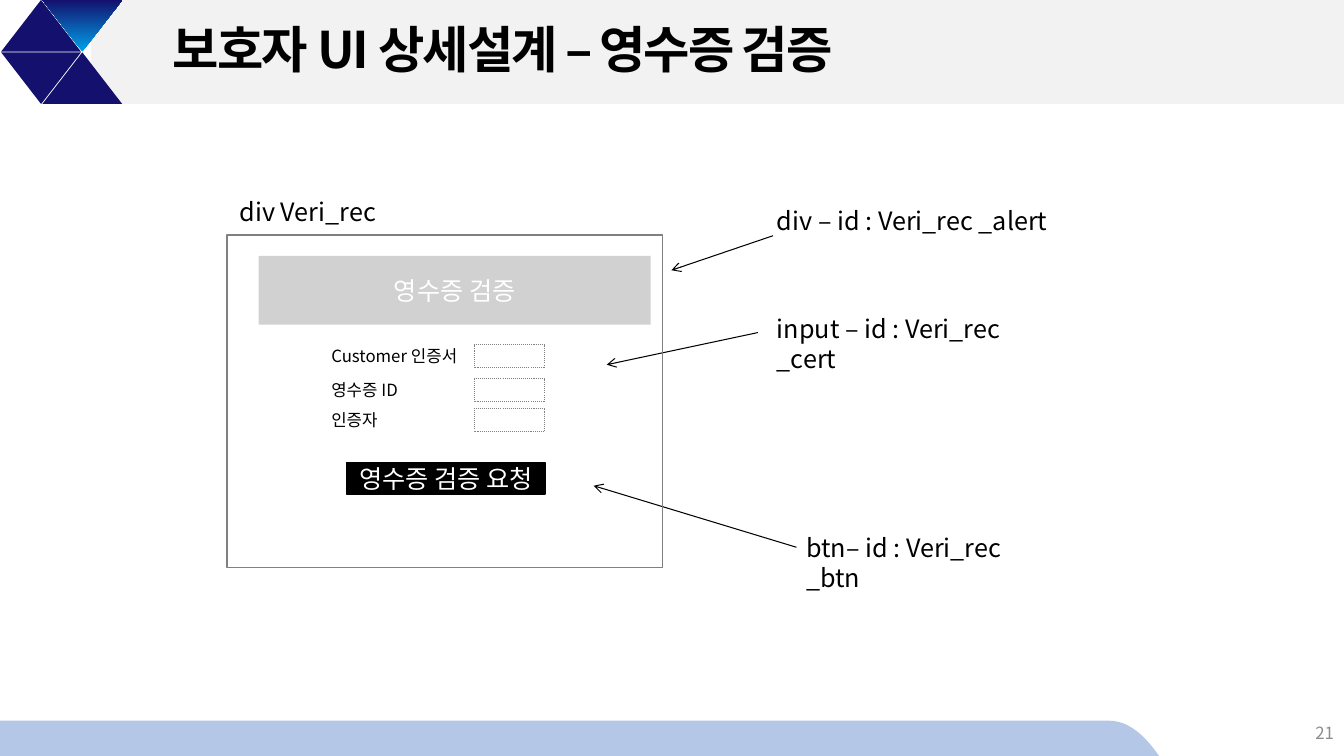
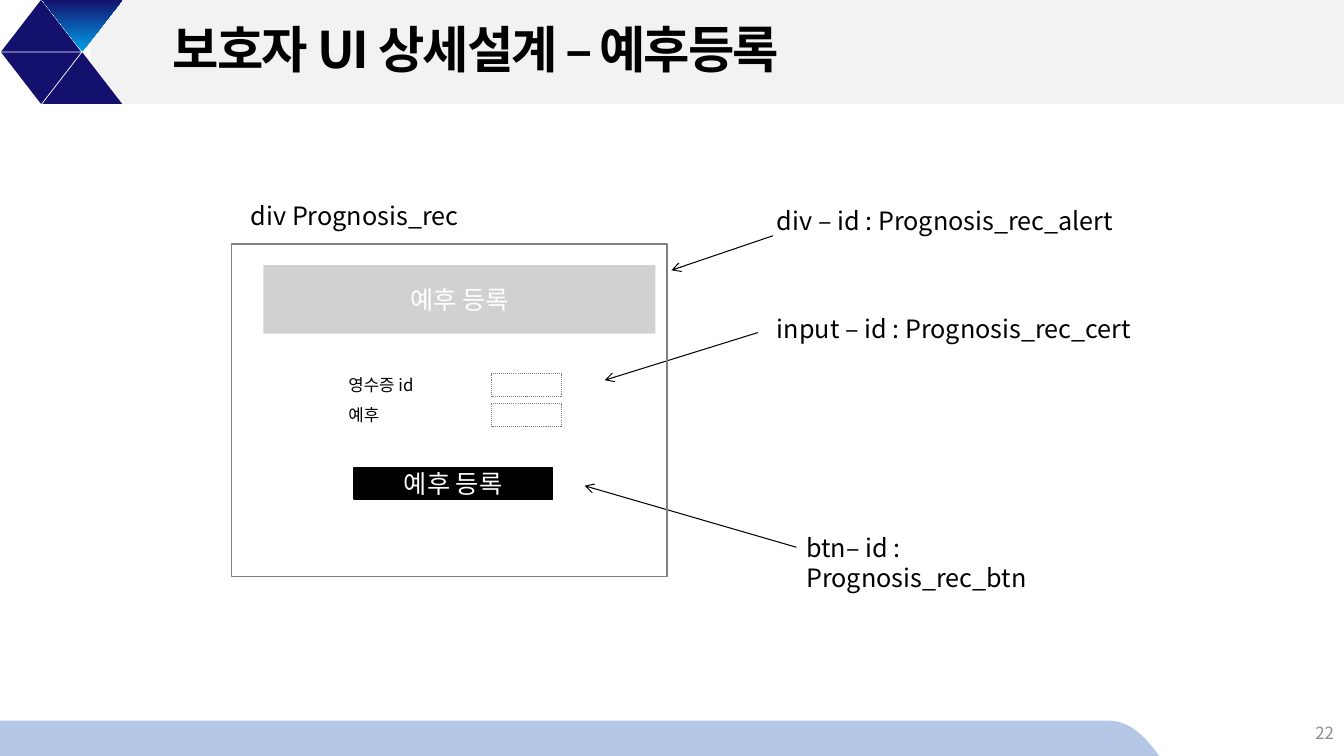
from dataclasses import dataclass

from lxml.etree import SubElement
from pptx import Presentation
from pptx.dml.color import RGBColor
from pptx.enum.dml import MSO_LINE
from pptx.enum.shapes import MSO_CONNECTOR, MSO_SHAPE
from pptx.enum.text import MSO_ANCHOR, PP_ALIGN
from pptx.oxml.ns import qn
from pptx.shapes.autoshape import Shape
from pptx.slide import Slide
from pptx.util import Cm, Pt

FONT = "Noto Sans CJK KR"
BLACK = RGBColor(0x00, 0x00, 0x00)
WHITE = RGBColor(0xFF, 0xFF, 0xFF)
NAVY = RGBColor(0x14, 0x11, 0x6E)
CYAN = RGBColor(0x00, 0xA0, 0xE9)
BAND = RGBColor(0xF2, 0xF2, 0xF2)
FOOTER = RGBColor(0xB4, 0xC7, 0xE7)
OUTLINE = RGBColor(0x80, 0x80, 0x80)
HEADING = RGBColor(0xA5, 0xA5, 0xA5)
PAGE_NUMBER = RGBColor(0x8C, 0x8C, 0x8C)

WIDTH, HEIGHT = 33.87, 19.05
BAND_HEIGHT = 2.62
TRIANGLE_SIZE = (2.01, 1.3)
FRAME_SIZE = (10.97, 8.38)
HEADING_OFFSET = (0.8, 0.53)
HEADING_SIZE = (9.88, 1.73)
BUTTON_SIZE = (5, 0.79)
LABEL_SIZE = (4.52, 0.76)
FIELD_SIZE = (1.78, 0.58)
FIELD_OFFSET = (3.85, 0.1)
LINE_HEIGHT = 1.02

Point = tuple[float, float]


@dataclass(frozen=True)
class Field:
    label: str
    top: float


@dataclass(frozen=True)
class Callout:
    text: str
    at: Point
    width: float
    tip: Point
    tail: Point | None = None  # None: the arrow leaves the text's left side


@dataclass(frozen=True)
class Screen:
    title: str
    number: int
    caption: str
    caption_at: Point
    frame_at: Point
    heading: str
    button: str
    button_at: Point
    label_left: float
    fields: list[Field]
    callouts: list[Callout]


def make_callouts(prefix: str, widths: Point, input_tip: Point,
                  button_tip: Point) -> list[Callout]:
    """Callouts for the alert, the input and the button; widths are of the last two."""
    return [
        Callout(f"div – id : {prefix}_alert", (19.33, 5.05), 10,
                (16.92, 6.81), (19.48, 5.94)),
        Callout(f"input – id : {prefix}_cert", (19.33, 7.77), widths[0],
                input_tip, (19.1, 8.38)),
        Callout(f"btn– id : {prefix}_btn", (20.07, 13.28), widths[1], button_tip),
    ]


SCREENS = [
    Screen("보호자 UI 상세설계 – 영수증 검증", 21, "div Veri_rec", (5.79, 4.83),
           (5.72, 5.92), "영수증 검증", "영수증 검증 요청", (8.74, 11.66), 8.1,
           [Field("Customer 인증서", 8.59), Field("영수증 ID", 9.45),
            Field("인증자", 10.19)],
           make_callouts("Veri_rec ", (7, 6), (15.29, 9.19), (14.96, 12.24))),
    Screen("보호자 UI 상세설계 – 예후등록", 22, "div Prognosis_rec", (6.07, 4.93),
           (5.84, 6.15), "예후 등록", "예후 등록", (8.92, 11.79), 8.53,
           [Field("영수증 id", 9.32), Field("예후", 10.08)],
           make_callouts("Prognosis_rec", (10, 7), (15.24, 9.58), (14.73, 12.24))),
]


def set_text(sp: Shape, text: str, size: float, color: RGBColor = BLACK,
             align: PP_ALIGN = PP_ALIGN.LEFT,
             anchor: MSO_ANCHOR = MSO_ANCHOR.TOP) -> None:
    tf = sp.text_frame
    tf.word_wrap = True
    tf.vertical_anchor = anchor
    p = tf.paragraphs[0]
    p.text = text
    p.alignment = align
    p.font.size = Pt(size)
    p.font.color.rgb = color
    p.font.name = FONT
    SubElement(font_properties(sp), qn("a:ea"), typeface=FONT)


def font_properties(sp: Shape):
    return sp.text_frame.paragraphs[0]._p.get_or_add_pPr().get_or_add_defRPr()


def add_text(s: Slide, text: str, at: Point, size: Point, points: float,
             **style) -> Shape:
    sp = s.shapes.add_textbox(*map(Cm, at + size))
    set_text(sp, text, points, **style)
    return sp


def add_box(s: Slide, at: Point, size: Point, fill: RGBColor | None = None,
            line: RGBColor | None = None, weight: float = 1,
            kind: MSO_SHAPE = MSO_SHAPE.RECTANGLE) -> Shape:
    sp = s.shapes.add_shape(kind, *map(Cm, at + size))
    sp.shadow.inherit = False
    if fill is None:
        sp.fill.background()
    else:
        sp.fill.solid()
        sp.fill.fore_color.rgb = fill
    if line is None:
        sp.line.fill.background()
    else:
        sp.line.color.rgb = line
        sp.line.width = Pt(weight)
    return sp


def add_text_box(s: Slide, text: str, at: Point, size: Point, fill: RGBColor,
                 line: RGBColor | None = None) -> Shape:
    """Filled box with centred white text."""
    sp = add_box(s, at, size, fill, line)
    set_text(sp, text, 18, WHITE, PP_ALIGN.CENTER, MSO_ANCHOR.MIDDLE)
    tf = sp.text_frame
    tf.margin_left = tf.margin_right = tf.margin_top = tf.margin_bottom = 0
    return sp


def add_footer(s: Slide) -> None:
    curve = [(27.94, 18.16), (28.5, 18.16), (28.91, 18.62), (29.21, HEIGHT)]
    steps = 12
    points = [(0, HEIGHT), (0, 18.16)]
    for i in range(steps + 1):
        t = i / steps
        weights = ((1 - t) ** 3, 3 * t * (1 - t) ** 2, 3 * t * t * (1 - t), t ** 3)
        points.append(tuple(sum(w * c[axis] for w, c in zip(weights, curve))
                            for axis in (0, 1)))
    start, *rest = [(Cm(x), Cm(y)) for x, y in points]
    builder = s.shapes.build_freeform(*start)
    builder.add_line_segments(rest, close=True)
    sp = builder.convert_to_shape()
    sp.shadow.inherit = False
    sp.fill.solid()
    sp.fill.fore_color.rgb = FOOTER
    sp.line.fill.background()


def add_emblem(s: Slide) -> None:
    """Four triangles, alternately pointing up and down."""
    for row, top in enumerate((0, 1.32)):
        for col, left in enumerate((0.03, 1.07)):
            sp = add_box(s, (left, top), TRIANGLE_SIZE, NAVY,
                         kind=MSO_SHAPE.ISOSCELES_TRIANGLE)
            sp.rotation = 180 if row != col else 0
            if (row, col) == (0, 1):
                sp.fill.gradient()
                sp.fill.gradient_angle = 270
                for stop, color in zip(sp.fill.gradient_stops, (CYAN, NAVY)):
                    stop.color.rgb = color


def add_frame(s: Slide, title: str, number: int) -> None:
    """What every slide shares: footer, band, emblem, title and number."""
    add_footer(s)
    add_box(s, (2.29, 0), (WIDTH - 2.29, BAND_HEIGHT), BAND)
    add_emblem(s)
    sp = add_text(s, title, (4.11, 0.33), (28.7, 1.98), 36, anchor=MSO_ANCHOR.MIDDLE)
    p = sp.text_frame.paragraphs[0]
    p.font.bold = True
    p.line_spacing = 0.9
    font_properties(sp).set("spc", "-150")
    add_text(s, str(number), (26.25, 17.96), (7.62, LINE_HEIGHT), 12,
             color=PAGE_NUMBER, align=PP_ALIGN.RIGHT, anchor=MSO_ANCHOR.MIDDLE)


def add_callout(s: Slide, callout: Callout) -> None:
    sp = add_text(s, callout.text, callout.at, (callout.width, LINE_HEIGHT), 18)
    arrow = s.shapes.add_connector(MSO_CONNECTOR.STRAIGHT,
                                   *map(Cm, (callout.tail or callout.at) + callout.tip))
    if callout.tail is None:
        arrow.begin_connect(sp, 1)
    arrow.line.color.rgb = BLACK
    arrow.line.width = Pt(0.75)
    SubElement(arrow.line._get_or_add_ln(), qn("a:tailEnd"), type="arrow")
    SubElement(arrow._element.spPr, qn("a:effectLst"))


def add_field(s: Slide, field: Field, left: float) -> None:
    add_text(s, field.label, (left, field.top), LABEL_SIZE, 12)
    dx, dy = FIELD_OFFSET
    sp = add_box(s, (left + dx, field.top + dy), FIELD_SIZE, line=OUTLINE, weight=0.75)
    sp.line.dash_style = MSO_LINE.ROUND_DOT


def add_screen(s: Slide, screen: Screen) -> None:
    add_frame(s, screen.title, screen.number)
    add_text(s, screen.caption, screen.caption_at, (10, LINE_HEIGHT), 18)
    for callout in screen.callouts:
        add_callout(s, callout)
    add_text_box(s, screen.button, screen.button_at, BUTTON_SIZE, BLACK, BLACK)
    left, top = screen.frame_at
    dx, dy = HEADING_OFFSET
    heading = add_text_box(s, screen.heading, (left + dx, top + dy), HEADING_SIZE, HEADING)
    color = heading._element.spPr.find(qn("a:solidFill"))[0]
    SubElement(color, qn("a:alpha"), val="50000")
    for field in screen.fields:
        add_field(s, field, screen.label_left)
    add_box(s, screen.frame_at, FRAME_SIZE, line=OUTLINE)


def main() -> None:
    prs = Presentation()
    prs.slide_width, prs.slide_height = Cm(WIDTH), Cm(HEIGHT)
    for screen in SCREENS:
        add_screen(prs.slides.add_slide(prs.slide_layouts[6]), screen)
    prs.save("out.pptx")


if __name__ == "__main__":
    main()
